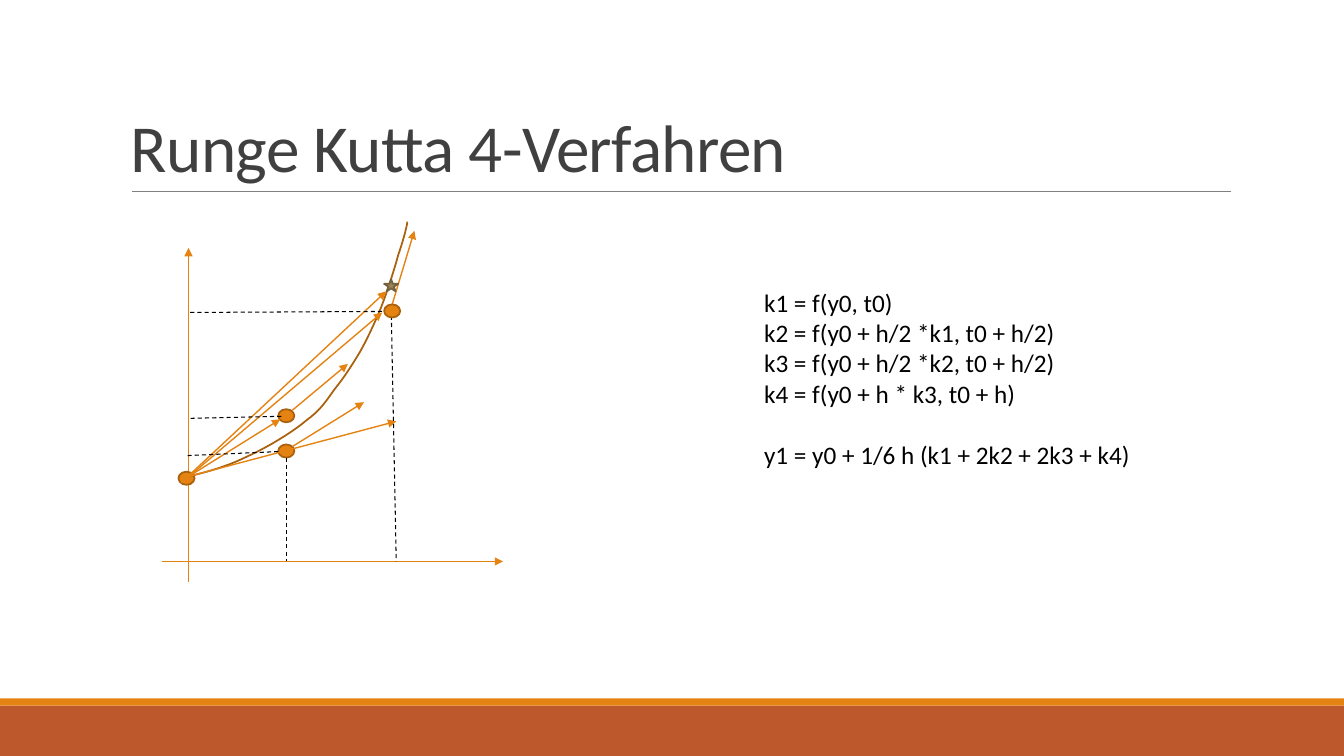
from pptx import Presentation
from pptx.dml.color import RGBColor
from pptx.enum.dml import MSO_LINE
from pptx.enum.shapes import MSO_CONNECTOR, MSO_SHAPE
from pptx.enum.text import MSO_ANCHOR
from pptx.oxml.ns import qn
from pptx.util import Inches, Pt
from lxml import etree

RECT, OVAL, STAR = MSO_SHAPE.RECTANGLE, MSO_SHAPE.OVAL, MSO_SHAPE.STAR_5_POINT
STRAIGHT, DASH, BOTTOM = MSO_CONNECTOR.STRAIGHT, MSO_LINE.DASH, MSO_ANCHOR.BOTTOM
FONT = "Calibri"
ORANGE, BROWN, RUST, BLACK = "E48312", "A9610D", "BD582C", "000000"

AXES = [((0.27, 3.57), (0.27, 0.26)), ((0.01, 3.37), (3.39, 3.37))]
DOTS = [(0.17, 2.48), (1.16, 2.21), (1.16, 1.86)]
END_DOT = (2.21, 0.82)
CURVE = [
    (0.26, 2.53), (0.46, 2.48), (0.65, 2.43), (0.85, 2.33), (1.05, 2.24),
    (1.3, 2.09), (1.44, 1.97), (1.59, 1.86), (1.64, 1.77), (1.72, 1.66),
    (1.81, 1.55), (1.88, 1.44), (1.96, 1.31), (2.03, 1.19), (2.09, 1.06),
    (2.16, 0.9), (2.23, 0.73), (2.31, 0.48), (2.35, 0.33), (2.4, 0.19),
    (2.44, 0.03), (2.44, 0),
]
SLOPES = [
    ((0.26, 2.53), (2.33, 1.98)),
    ((1.3, 2.23), (2.01, 1.79)),
    ((0.25, 2.54), (1.18, 1.96)),
    ((1.3, 1.87), (1.85, 1.41)),
    ((0.2, 2.59), (2.19, 0.9)),
    ((2.29, 0.82), (2.51, 0.09)),
    ((0.26, 2.53), (2.23, 0.69)),
]
GUIDES = [
    ((1.24, 2.34), (1.24, 3.37)),
    ((2.28, 0.86), (2.33, 3.37)),
    ((1.16, 2.28), (0.26, 2.32)),
    ((1.19, 1.93), (0.29, 1.95)),
    ((2.19, 0.89), (0.26, 0.9)),
]
STEPS = [
    "k1 = f(y0, t0)",
    "k2 = f(y0 + h/2 *k1, t0 + h/2)",
    "k3 = f(y0 + h/2 *k2, t0 + h/2)",
    "k4 = f(y0 + h * k3, t0 + h)",
    "y1 = y0 + 1/6 h (k1 + 2k2 + 2k3 + k4)",
]


def color(code):
    return RGBColor.from_string(code)


def add_form(slide, kind, left, top, width, height, fill, edge=None):
    form = slide.shapes.add_shape(
        kind, Inches(left), Inches(top), Inches(width), Inches(height))
    form.shadow.inherit = False
    form.fill.solid()
    form.fill.fore_color.rgb = color(fill)
    if edge:
        form.line.color.rgb = color(edge)
        form.line.width = Pt(1.25)
    else:
        form.line.fill.background()


def add_line(slide, start, end, code, width, dash=False, arrow=False):
    line = slide.shapes.add_connector(
        STRAIGHT, *(Inches(v) for v in (*start, *end)))
    line.line.color.rgb = color(code)
    line.line.width = Pt(width)
    if dash:
        line.line.dash_style = DASH
    if arrow:
        ln = line.line._get_or_add_ln()
        etree.SubElement(ln, qn("a:tailEnd"), type="triangle")
    etree.SubElement(line._element.spPr, qn("a:effectLst"))


def add_text(slide, left, top, width, height, lines, size, code):
    box = slide.shapes.add_textbox(
        Inches(left), Inches(top), Inches(width), Inches(height))
    frame = box.text_frame
    frame.word_wrap = True
    frame.text = "\n".join(lines)
    for para in frame.paragraphs:
        for run in para.runs:
            run.font.name = FONT
            run.font.size = Pt(size)
            run.font.color.rgb = color(code)
    return frame


def add_curve(slide, points):
    dense = [points[0]]
    for i in range(0, len(points) - 1, 3):
        knots = points[i:i + 4]
        for step in range(1, 11):
            t = step / 10
            parts = ((1 - t) ** 3, 3 * t * (1 - t) ** 2,
                     3 * t * t * (1 - t), t ** 3)
            dense.append(tuple(
                sum(p * knot[axis] for p, knot in zip(parts, knots))
                for axis in (0, 1)))
    spots = [(Inches(x), Inches(y)) for x, y in dense]
    path = slide.shapes.build_freeform(*spots[0])
    path.add_line_segments(spots[1:], close=False)
    curve = path.convert_to_shape()
    curve.shadow.inherit = False
    curve.fill.background()
    curve.line.color.rgb = color(BROWN)
    curve.line.width = Pt(1.25)


def add_footer(slide, left, top, width, height):
    band = 0.07
    add_form(slide, RECT, left, top + band, width, height - band, RUST)
    add_form(slide, RECT, left, top, width, band, ORANGE)


def add_title(slide, left, top, width, height):
    base = top + height
    add_line(slide, (left + 0.11, base), (left + 11.01, base), "808080", 0.5)
    frame = add_text(slide, left, top, width, height,
                     ["Runge Kutta 4-Verfahren"], 48, "404040")
    frame.vertical_anchor = BOTTOM
    para = frame.paragraphs[0]
    para.line_spacing = 0.85
    para.runs[0].font._element.set("spc", "-50")


def add_plot(slide, left, top):
    def place(spot):
        return left + spot[0], top + spot[1]

    def add_dot(spot):
        add_form(slide, OVAL, *place(spot), 0.16, 0.13, ORANGE, BROWN)

    for start, end in AXES:
        add_line(slide, place(start), place(end), ORANGE, 1, arrow=True)
    for dot in DOTS:
        add_dot(dot)
    add_curve(slide, [place(spot) for spot in CURVE])
    for start, end in SLOPES:
        add_line(slide, place(start), place(end), ORANGE, 1, arrow=True)
    for start, end in GUIDES:
        add_line(slide, place(start), place(end), BLACK, 0.75, dash=True)
    add_form(slide, STAR, *place((2.21, 0.57)), 0.14, 0.12, "9B8357", "736140")
    add_dot(END_DOT)


def add_steps(slide, left, top, width, height):
    frame = add_text(slide, left, top, width, height, STEPS, 18, BLACK)
    frame.paragraphs[-1].space_before = Pt(22)


def main():
    deck = Presentation()
    deck.slide_width, deck.slide_height = Inches(13.33), Inches(7.5)
    slide = deck.slides.add_slide(deck.slide_layouts[6])
    add_footer(slide, 0, 6.93, 13.33, 0.57)
    add_title(slide, 1.2, 0.31, 11, 1.59)
    add_plot(slide, 1.6, 2.2)
    add_steps(slide, 7.48, 2.8, 4.11, 1.92)
    deck.save("out.pptx")


if __name__ == "__main__":
    main()
